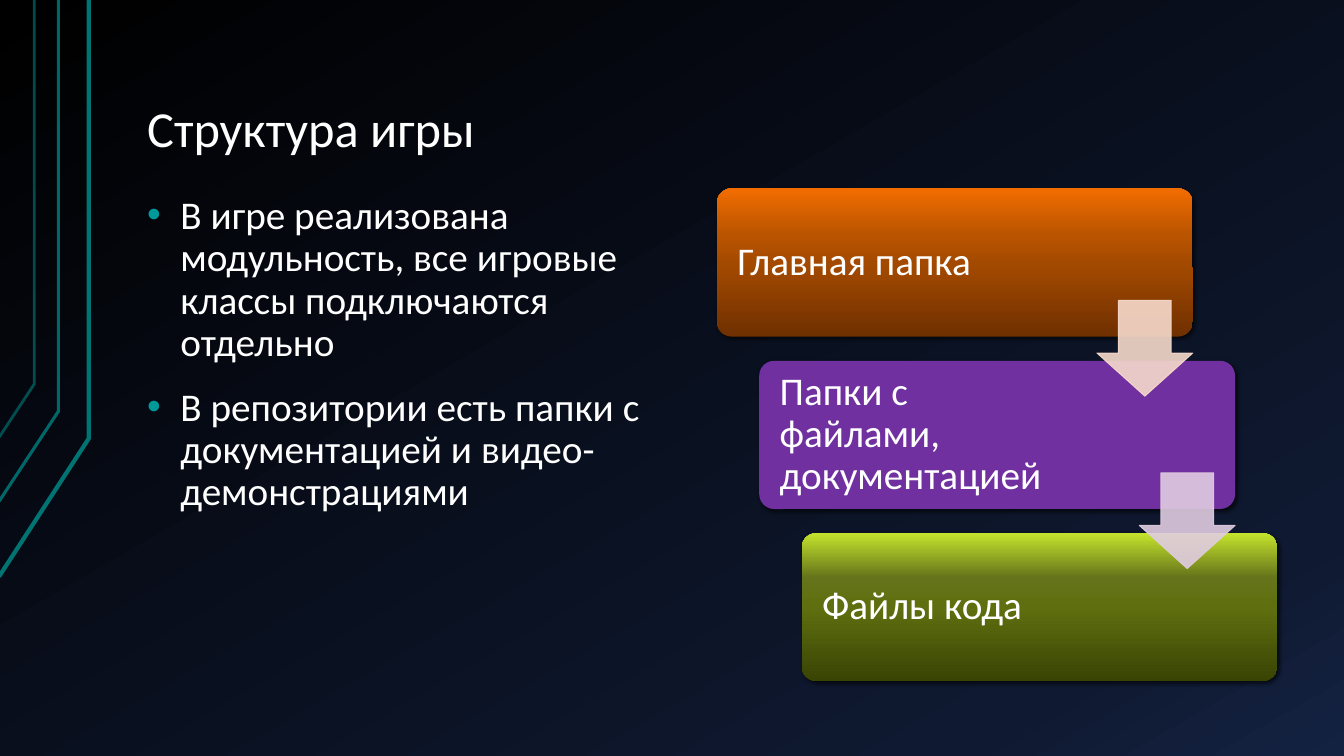
"""Build the game structure slide: title, bullets and a three-step folder cascade."""
from dataclasses import dataclass
from typing import Any, NamedTuple, Optional, Union

from lxml import etree
from pptx import Presentation
from pptx.dml.color import RGBColor
from pptx.enum.shapes import MSO_SHAPE
from pptx.enum.text import MSO_ANCHOR, PP_ALIGN
from pptx.oxml import parse_xml
from pptx.oxml.ns import nsdecls, qn
from pptx.util import Inches, Pt


class Gradient(NamedTuple):
    stops: tuple[tuple[int, str], ...]
    angle: int


@dataclass(frozen=True)
class Theme:
    font: str = "Calibri"
    title_size: int = 36
    body_size: int = 28
    line_spacing: float = 0.9
    text: str = "FFFFFF"
    bullet: str = "009999"
    trace: str = "007373"
    purple: str = "7030A0"
    peach: str = "F7DACC"
    lilac: str = "E0CCE1"
    orange: Gradient = Gradient(
        ((0, "703000"), (50, "A44A00"), (70, "BC5500"), (100, "F26D00")), 270)
    green: Gradient = Gradient(
        ((0, "394404"), (50, "5F6F0F"), (70, "65741A"), (100, "C4E32D")), 270)
    background: Gradient = Gradient(
        ((0, "000000"), (85, "0F1931"), (100, "142242")), 60)


class Trace(NamedTuple):
    points: tuple[tuple[float, float], ...]
    width: float
    opacity: int


class Step(NamedTuple):
    label: str
    fill: Union[str, Gradient]
    arrow: Optional[str]


THEME = Theme()
TRACES = (
    Trace(((-0.01, 5.72), (0.88, 4.35), (0.88, 0)), 3, 100),
    Trace(((-0.02, 4.99), (0.58, 4.08), (0.58, 0)), 2.25, 90),
    Trace(((-0.01, 4.34), (0.34, 3.81), (0.34, 0)), 2, 65),
)
BULLETS = (
    "В игре реализована модульность, все игровые классы подключаются отдельно",
    "В репозитории есть папки с документацией и видео-демонстрациями",
)
STEPS = (
    Step("Главная папка", THEME.orange, THEME.peach),
    Step("Папки с файлами, документацией", THEME.purple, THEME.lilac),
    Step("Файлы кода", THEME.green, None),
)
CARD_LEFT, CARD_TOP = Inches(7.11), Inches(1.87)
CARD_WIDTH, CARD_HEIGHT = Inches(4.72), Inches(1.47)
STEP_X, STEP_Y = Inches(0.42), Inches(1.71)
ARROW_SIZE, ARROW_DROP = Inches(0.95), Inches(1.11)


def apply_gradient(parent: Any, gradient: Gradient) -> None:
    """Replace the solid fill of a properties element with a linear gradient."""
    stops = "".join(f'<a:gs pos="{pos * 1000}"><a:srgbClr val="{color}"/></a:gs>'
                    for pos, color in gradient.stops)
    solid = parent.find(qn("a:solidFill"))
    parent.replace(solid, parse_xml(
        f'<a:gradFill {nsdecls("a")} rotWithShape="1"><a:gsLst>{stops}</a:gsLst>'
        f'<a:lin ang="{gradient.angle * 60000}" scaled="0"/></a:gradFill>'))


def set_opacity(parent: Any, percent: int) -> None:
    """Set the opacity of every solid colour under an element."""
    for color in parent.iter(qn("a:srgbClr")):
        etree.SubElement(color, qn("a:alpha")).set("val", str(percent * 1000))


def add_shadow(shape: Any) -> None:
    """Give a shape a soft shadow towards the lower right."""
    effects = shape.element.spPr.find(qn("a:effectLst"))
    effects.append(parse_xml(
        f'<a:outerShdw {nsdecls("a")} blurRad="{Pt(3)}" dist="{Pt(2)}" '
        f'dir="{45 * 60000}" rotWithShape="0"><a:srgbClr val="000000">'
        '<a:alpha val="60000"/></a:srgbClr></a:outerShdw>'))


def set_insets(frame: Any, left: float, top: float, right: float) -> None:
    """Turn wrapping on and set the text margins in inches."""
    frame.word_wrap = True
    frame.margin_left, frame.margin_right = Inches(left), Inches(right)
    frame.margin_top = frame.margin_bottom = Inches(top)


def write(paragraph: Any, text: str, size: int) -> None:
    """Write one left-aligned paragraph in the theme font."""
    paragraph.alignment = PP_ALIGN.LEFT
    paragraph.line_spacing = THEME.line_spacing
    run = paragraph.add_run()
    run.text = text
    run.font.name, run.font.size = THEME.font, Pt(size)
    run.font.color.rgb = RGBColor.from_string(THEME.text)


def add_bullet(paragraph: Any) -> None:
    """Add a coloured bullet with a hanging indent."""
    props = paragraph._p.get_or_add_pPr()
    props.set("marL", str(Inches(0.33)))
    props.set("indent", str(-Inches(0.33)))
    for xml in (f'<a:buClr {nsdecls("a")}><a:srgbClr val="{THEME.bullet}"/></a:buClr>',
                f'<a:buFont {nsdecls("a")} typeface="Arial"/>',
                f'<a:buChar {nsdecls("a")} char="•"/>'):
        props.append(parse_xml(xml))


def draw_trace(slide: Any, trace: Trace) -> None:
    """Draw one open circuit line at the left edge."""
    start, *rest = [(Inches(x), Inches(y)) for x, y in trace.points]
    builder = slide.shapes.build_freeform(*start)
    builder.add_line_segments(rest, close=False)
    shape = builder.convert_to_shape()
    shape.shadow.inherit = False
    shape.fill.background()
    shape.line.color.rgb = RGBColor.from_string(THEME.trace)
    shape.line.width = Pt(trace.width)
    if trace.opacity < 100:
        set_opacity(shape.element.spPr, trace.opacity)


def draw_text(slide: Any) -> None:
    """Draw the title and the bullet list."""
    title = slide.shapes.add_textbox(
        Inches(1.33), Inches(0.3), Inches(11.33), Inches(1.34)).text_frame
    set_insets(title, 0.13, 0.07, 0.13)
    title.vertical_anchor = MSO_ANCHOR.BOTTOM
    write(title.paragraphs[0], "Структура игры", THEME.title_size)

    body = slide.shapes.add_textbox(
        Inches(1.33), Inches(1.87), Inches(5.55), Inches(4.88)).text_frame
    set_insets(body, 0.13, 0.07, 0.13)
    for index, text in enumerate(BULLETS):
        paragraph = body.add_paragraph() if index else body.paragraphs[0]
        write(paragraph, text, THEME.body_size)
        paragraph.space_before = Pt(16)
        add_bullet(paragraph)


def draw_card(slide: Any, index: int, step: Step) -> None:
    """Draw one folder card of the cascade."""
    card = slide.shapes.add_shape(
        MSO_SHAPE.ROUNDED_RECTANGLE, CARD_LEFT + index * STEP_X,
        CARD_TOP + index * STEP_Y, CARD_WIDTH, CARD_HEIGHT)
    card.adjustments[0] = 0.1
    card.line.fill.background()
    card.shadow.inherit = False
    add_shadow(card)
    card.fill.solid()
    if isinstance(step.fill, Gradient):
        apply_gradient(card.element.spPr, step.fill)
    else:
        card.fill.fore_color.rgb = RGBColor.from_string(step.fill)
    set_insets(card.text_frame, 0.16, 0.12, 1.53)
    card.text_frame.vertical_anchor = MSO_ANCHOR.MIDDLE
    write(card.text_frame.paragraphs[0], step.label, THEME.body_size)


def draw_arrow(slide: Any, index: int, color: str) -> None:
    """Draw the arrow that leads from one card to the next."""
    arrow = slide.shapes.add_shape(
        MSO_SHAPE.DOWN_ARROW, CARD_LEFT + CARD_WIDTH - ARROW_SIZE + index * STEP_X,
        CARD_TOP + ARROW_DROP + index * STEP_Y, ARROW_SIZE, ARROW_SIZE)
    arrow.adjustments[0], arrow.adjustments[1] = 0.55, 0.45
    arrow.shadow.inherit = False
    arrow.fill.solid()
    arrow.fill.fore_color.rgb = arrow.line.color.rgb = RGBColor.from_string(color)
    arrow.line.width = Pt(0.75)
    set_opacity(arrow.element.spPr, 90)


def main() -> None:
    """Build and save the slide."""
    deck = Presentation()
    deck.slide_width, deck.slide_height = Inches(13.33), Inches(7.5)
    slide = deck.slides.add_slide(deck.slide_layouts[6])
    slide.background.fill.solid()
    apply_gradient(slide.element.find(".//" + qn("p:bgPr")), THEME.background)
    for trace in TRACES:
        draw_trace(slide, trace)
    draw_text(slide)
    for index, step in enumerate(STEPS):
        draw_card(slide, index, step)
    for index, step in enumerate(STEPS):
        if step.arrow:
            draw_arrow(slide, index, step.arrow)
    deck.save("out.pptx")


main()
